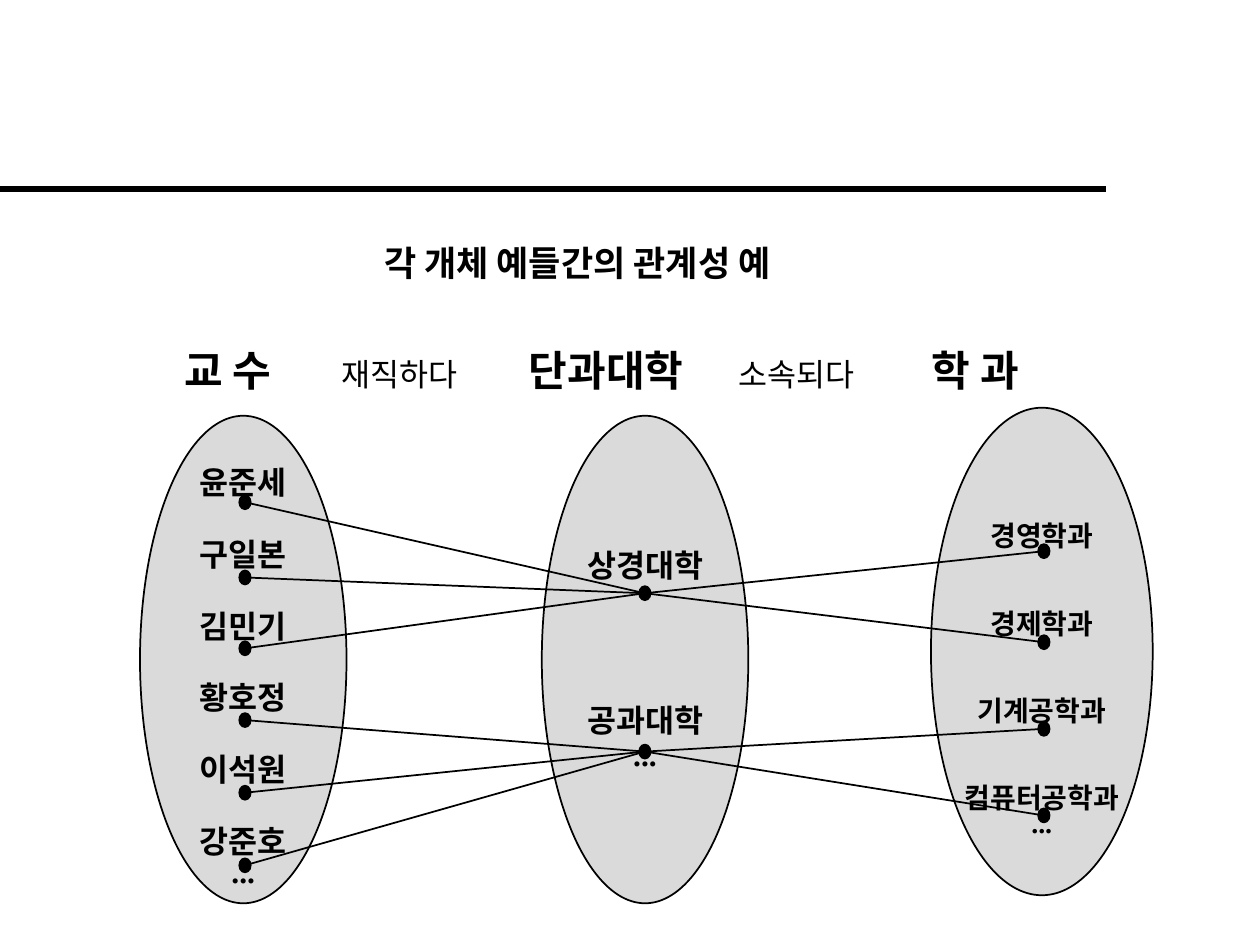
from lxml.etree import SubElement
from pptx import Presentation
from pptx.dml.color import RGBColor
from pptx.enum.shapes import MSO_CONNECTOR, MSO_SHAPE
from pptx.enum.text import MSO_ANCHOR, MSO_AUTO_SIZE, PP_ALIGN
from pptx.oxml.ns import qn
from pptx.util import Pt

BLACK = RGBColor(0, 0, 0)
GRAY = RGBColor(0xDA, 0xDA, 0xDA)
FACE = "Times New Roman"


class Board:
    """Holds the text style and the current slide."""

    def __init__(self, slide):
        self.slide = slide
        self.shapes = slide.shapes

    def style(self, font, size, bold=True):
        look = {"name": FACE, "size": Pt(size), "bold": bold}
        for key, value in look.items():
            setattr(font, key, value)
        font.color.rgb = BLACK

    def title(self, text, x, y, w, h):
        shape = self.shapes.title
        place = {"left": x, "top": y, "width": w, "height": h}
        for key, value in place.items():
            setattr(shape, key, Pt(value))
        frame = shape.text_frame
        frame.text = text
        frame.auto_size = MSO_AUTO_SIZE.NONE
        frame.vertical_anchor = MSO_ANCHOR.TOP
        para = frame.paragraphs[0]
        para.alignment = PP_ALIGN.CENTER
        self.style(para.font, 20)

    def heads(self, items, x, y, w, h):
        """One line of words, each centred on its own tab stop."""
        frame = self.shapes.add_textbox(Pt(x), Pt(y), Pt(w), Pt(h)).text_frame
        frame.word_wrap = True
        para = frame.paragraphs[0]
        tabs = SubElement(para._p.get_or_add_pPr(), qn("a:tabLst"))
        start = Pt(x) + frame.margin_left
        for text, mid, size, bold in items:
            SubElement(tabs, qn("a:tab"), pos=str(Pt(mid) - start), algn="ctr")
            run = para.add_run()
            run.text = "\t" + text
            self.style(run.font, size, bold)

    def oval(self, x, y, w, h, fill):
        shape = self.shapes.add_shape(MSO_SHAPE.OVAL, Pt(x), Pt(y), Pt(w), Pt(h))
        shape.shadow.inherit = False
        shape.fill.solid()
        shape.fill.fore_color.rgb = fill
        shape.line.color.rgb = BLACK
        shape.line.width = Pt(1)
        return shape

    def group(self, box, size, rows):
        """A gray set; rows are (text, line spacing, space before)."""
        frame = self.oval(*box, GRAY).text_frame
        frame.word_wrap = False
        frame.vertical_anchor = MSO_ANCHOR.MIDDLE
        for i, (text, gap, before) in enumerate(rows):
            para = frame.add_paragraph() if i else frame.paragraphs[0]
            para.text = text
            form = {"alignment": PP_ALIGN.CENTER, "line_spacing": gap,
                    "space_before": Pt(before)}
            for key, value in form.items():
                setattr(para, key, value)
            self.style(para.font, size)

    def dot(self, x, y):
        w, h = 6.5, 8
        self.oval(x - w / 2, y - h / 2, w, h, BLACK)

    def line(self, start, end, width=1):
        ends = [Pt(v) for v in (*start, *end)]
        line = self.shapes.add_connector(MSO_CONNECTOR.STRAIGHT, *ends)
        line.line.color.rgb = BLACK
        line.line.width = Pt(width)
        SubElement(line._element.spPr, qn("a:effectLst"))


def main():
    deck = Presentation()
    deck.slide_width, deck.slide_height = Pt(720), Pt(540)
    board = Board(deck.slides.add_slide(deck.slide_layouts[5]))

    # Rule, title and column heads
    board.line((0, 108), (632, 108), 4)
    board.title("각 개체 예들간의 관계성 예", 36, 134.6, 588, 36)
    board.heads([("교 수", 130.5, 24, True), ("재직하다", 228.5, 18, False),
                 ("단과대학", 346.5, 24, True), ("소속되다", 455.5, 18, False),
                 ("학 과", 557.5, 24, True)], 36, 193.5, 654, 42)

    # Three sets
    staff = ["윤준세", "구일본", "김민기", "황호정", "이석원", "강준호"]
    majors = ["경영학과", "경제학과", "기계공학과", "컴퓨터공학과"]
    board.group((80, 237.6, 118, 278.6), 18,
                [(name, 1.9, 0) for name in staff] + [("...", 0.8, 0)])
    board.group((309.6, 237.6, 118, 278.6), 18,
                [("상경대학", 1, 0), ("공과대학", 1, 67), ("...", 0.9, 0)])
    board.group((532, 233, 126.7, 278.6), 16,
                [(name, 2.6, 0) for name in majors] + [("...", 0.7, 0)])

    # Dots, one column for each set
    left = [(140, y) for y in (287, 330, 370.5, 411.5, 453, 494.5)]
    mid = [(368.5, y) for y in (339, 429.5)]
    right = [(596.5, y) for y in (315, 367, 416.5, 466)]
    for spot in left + mid + right:
        board.dot(*spot)

    # Links: three staff and two majors for each college
    for i, spot in enumerate(left):
        board.line(spot, mid[i // 3])
    for i, spot in enumerate(right):
        board.line(mid[i // 2], spot)

    deck.save("out.pptx")


if __name__ == "__main__":
    main()
